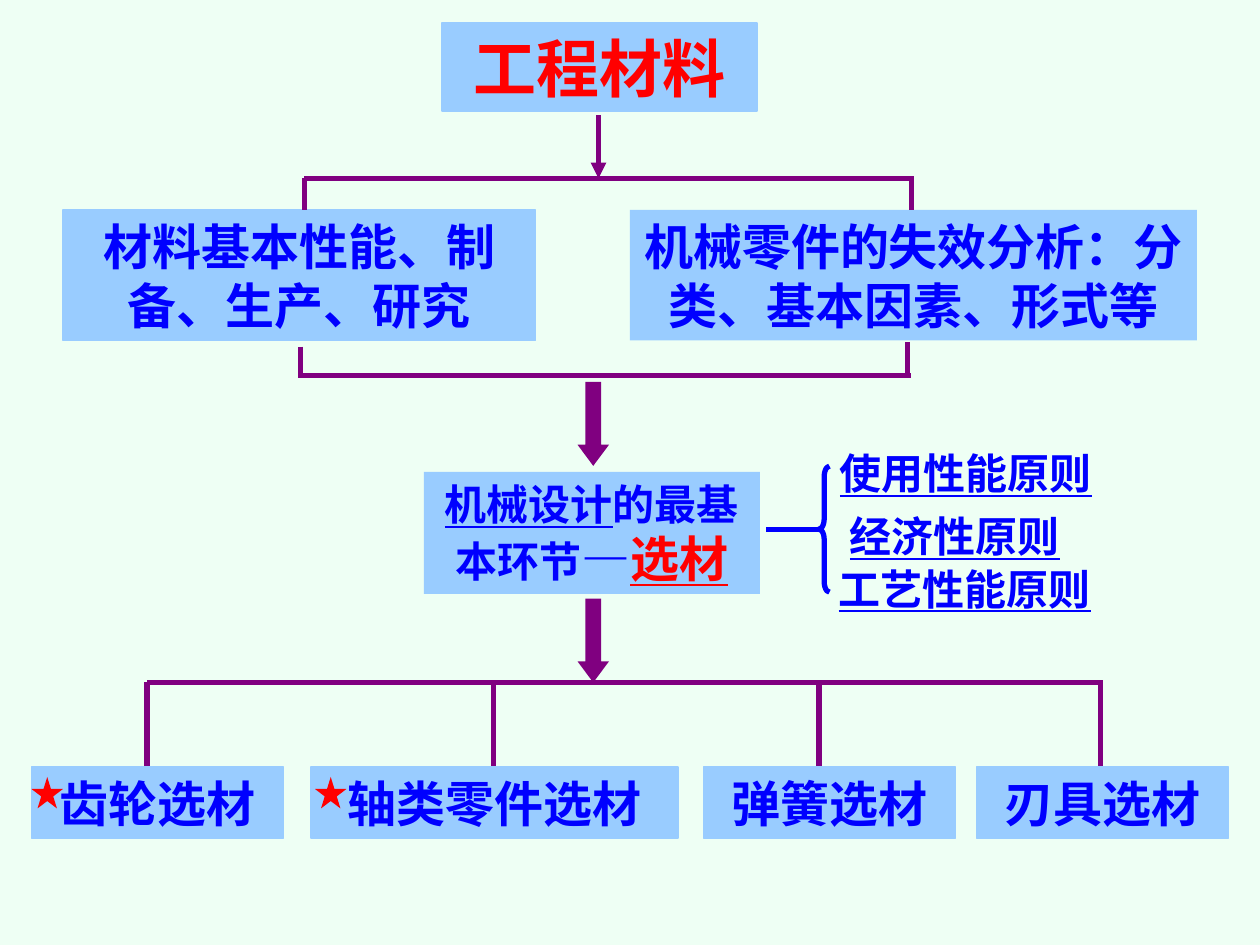
"""Build the engineering materials flow chart slide."""
from dataclasses import dataclass

from lxml.etree import SubElement
from pptx import Presentation
from pptx.dml.color import RGBColor as RGB
from pptx.enum.shapes import MSO_CONNECTOR, MSO_SHAPE as SHAPE
from pptx.enum.text import MSO_ANCHOR as ANCHOR, PP_ALIGN as ALIGN
from pptx.oxml.ns import qn
from pptx.util import Pt


@dataclass(frozen=True)
class Theme:
    font: str = "Noto Sans CJK SC"
    page: RGB = RGB(0xEE, 0xFF, 0xF4)
    box: RGB = RGB(0x99, 0xCC, 0xFF)
    flow: RGB = RGB(0x80, 0x00, 0x80)
    text: RGB = RGB(0x00, 0x00, 0xFF)
    accent: RGB = RGB(0xFF, 0x00, 0x00)
    title: int = 36
    body: int = 28
    small: int = 24


THEME = Theme()


def write(shape, text, size=THEME.body, color=THEME.text, underline=False,
          align=ALIGN.CENTER, leading=None):
    """Append a run; leading sets the line pitch when it differs from the size."""
    frame = shape.text_frame
    paragraph = frame.paragraphs[0]
    if not paragraph.runs:
        pitch = leading or size * 1.2
        frame.word_wrap = True
        frame.vertical_anchor = ANCHOR.TOP
        frame.margin_left = frame.margin_right = Pt(7.2)
        frame.margin_top = Pt(3.6 + size * 1.21 - pitch)
        frame.margin_bottom = Pt(0)
        paragraph.alignment = align
        paragraph.line_spacing = Pt(pitch)
        paragraph._p.get_or_add_pPr().set("hangingPunct", "0")
    run = paragraph.add_run()
    run.text = text
    font = run.font
    font.size, font.bold, font.underline = Pt(size), True, underline
    font.color.rgb = color
    font.name = THEME.font
    SubElement(font._element, qn("a:ea"), typeface=THEME.font)


def draw(kind, left, top, width, height, fill=None, edge=None, weight=1):
    """Add a preset shape without shadow."""
    shape = slide.shapes.add_shape(kind, Pt(left), Pt(top), Pt(width), Pt(height))
    shape.shadow.inherit = False
    if fill is None:
        shape.fill.background()
    else:
        shape.fill.solid()
        shape.fill.fore_color.rgb = fill
    if edge is None:
        shape.line.fill.background()
    else:
        shape.line.color.rgb = edge
        shape.line.width = Pt(weight)
    return shape


deck = Presentation()
deck.slide_width, deck.slide_height = Pt(720), Pt(540)
slide = deck.slides.add_slide(deck.slide_layouts[6])
slide.background.fill.solid()
slide.background.fill.fore_color.rgb = THEME.page

for topic, left, top, width, height, edge, style in [
    ("机械零件的失效分析：分类、基本因素、形式等", 360, 120, 324, 74.6, None, {}),
    ("工程材料", 252.5, 13, 180, 50.4, THEME.box,
     {"size": THEME.title, "color": THEME.accent}),
    ("材料基本性能、制备、生产、研究", 36, 120, 270, 74.6, THEME.box, {}),
    ("齿轮选材", 18, 438.3, 144, 40.8, THEME.box, {}),
    ("轴类零件选材", 177.6, 438.3, 210, 40.8, THEME.box, {}),
    ("弹簧选材", 402, 438.3, 144, 40.8, THEME.box, {}),
    ("刃具选材", 558, 438.3, 144, 40.8, THEME.box, {}),
]:
    write(draw(SHAPE.RECTANGLE, left, top, width, height, THEME.box, edge), topic, **style)

selection = draw(SHAPE.RECTANGLE, 242.2, 269.6, 192, 69.8, THEME.box)
write(selection, "机械设计", size=THEME.small, underline=True, leading=33.6)
write(selection, "的最基本环节", size=THEME.small)
write(selection, "—")
write(selection, "选材", color=THEME.accent, underline=True)

for principle, left, top in [
    ("使用性能原则", 472.8, 252),
    ("经济性原则", 478.5, 288),
    ("工艺性能原则", 472.2, 318),
]:
    label = slide.shapes.add_textbox(Pt(left), Pt(top), Pt(170), Pt(36))
    write(label, principle, size=THEME.small, underline=True, align=ALIGN.LEFT)

brace = draw(SHAPE.LEFT_BRACE, 468, 266.4, 6, 72, edge=THEME.text, weight=3)
brace.adjustments[0], brace.adjustments[1] = 1, 0.5

for top in (218.2, 342):
    arrow = draw(SHAPE.DOWN_ARROW, 330, top, 18, 48, THEME.flow)
    arrow.adjustments[0], arrow.adjustments[1] = 0.5, 0.67

branches = [(x, 390, x, 438) for x in (84, 282, 468, 628.8)]
for x1, y1, x2, y2, color, pointed in [
    (438, 302.4, 468, 302.4, THEME.text, False),
    (342, 66, 342, 102, THEME.flow, True),
    *[(*ends, THEME.flow, False) for ends in [
        (174, 102, 522, 102),
        (174, 102, 174, 120),
        (520.8, 102, 520.8, 120),
        (172.8, 214.8, 520.8, 214.8),
        (171.8, 198, 171.8, 216),
        (518.4, 195.4, 518.4, 213.4),
        (84, 390, 630.4, 390),
        *branches,
    ]],
]:
    link = slide.shapes.add_connector(
        MSO_CONNECTOR.STRAIGHT, Pt(x1), Pt(y1), Pt(x2), Pt(y2))
    link.line.color.rgb = color
    link.line.width = Pt(3)
    if pointed:
        SubElement(link.line._get_or_add_ln(), qn("a:tailEnd"), type="triangle")
    SubElement(link._element.spPr, qn("a:effectLst"))

for left in (18, 180):
    draw(SHAPE.STAR_5_POINT, left, 444, 18, 18, THEME.accent)

deck.save("out.pptx")
